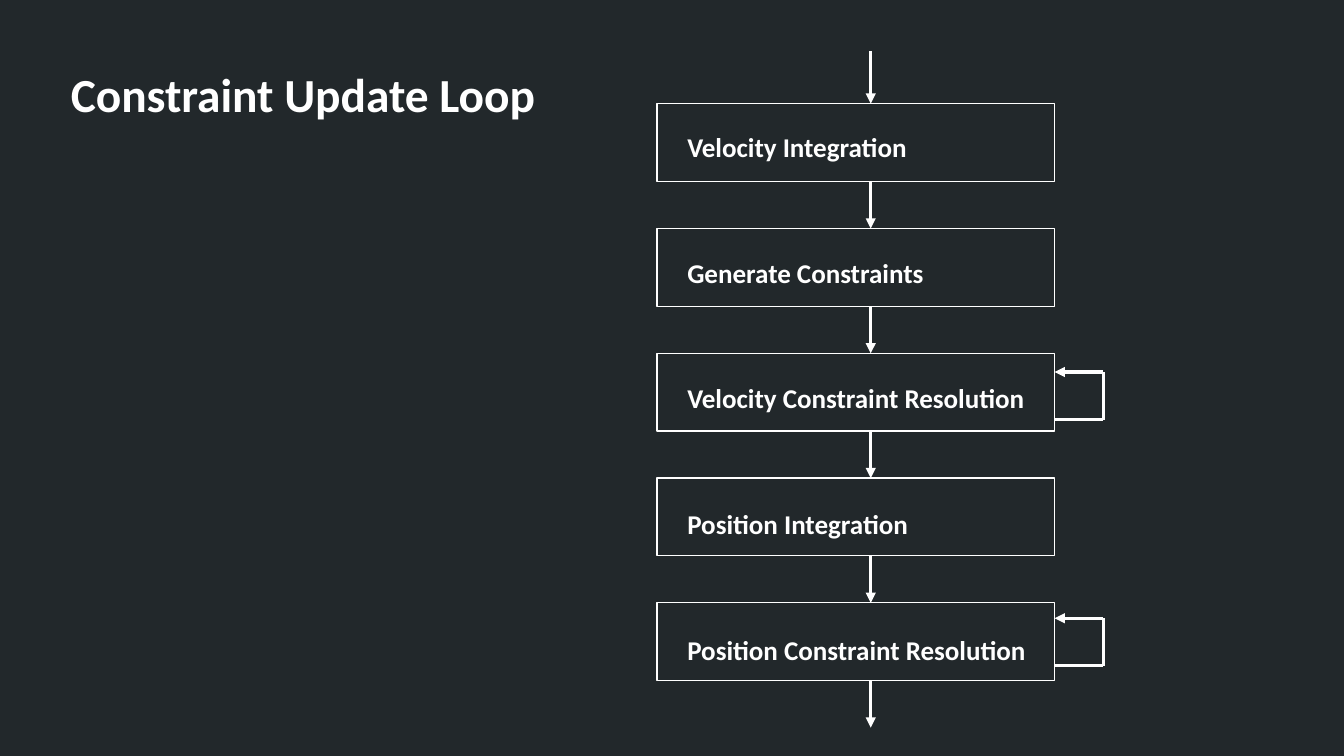
"""Build the Constraint Update Loop flow chart slide."""
from pptx import Presentation
from pptx.dml.color import RGBColor
from pptx.enum import shapes, text
from pptx.oxml.ns import qn
from pptx.util import Cm, Pt
from lxml import etree

WHITE = RGBColor(0xFF, 0xFF, 0xFF)
DARK = RGBColor(0x22, 0x28, 0x2B)
STEPS = ["Velocity Integration", "Generate Constraints", "Velocity Constraint Resolution",
         "Position Integration", "Position Constraint Resolution"]
BOX_X, BOX_Y, BOX_W, BOX_H = 13.69, 2.16, 8.28, 1.62
PITCH = 2.6
LABEL_PITCH = 2.62
ARROW_X = 18.14
BOX_RIGHT, LOOP_X, LOOP_H = BOX_X + BOX_W, 22.99, 0.99


def write(sp, words, size):
    tf = sp.text_frame
    tf.word_wrap = True
    tf.auto_size = text.MSO_AUTO_SIZE.NONE
    tf.vertical_anchor = text.MSO_ANCHOR.TOP
    p = tf.paragraphs[0]
    p.alignment = text.PP_ALIGN.LEFT
    p.line_spacing = 1.0
    r = p.add_run()
    r.text = words
    r.font.name = "Calibri"
    r.font.size = Pt(size)
    r.font.bold = True
    r.font.color.rgb = WHITE


def connect(x1, y1, x2, y2, arrow=False):
    cx = slide.shapes.add_connector(shapes.MSO_CONNECTOR.STRAIGHT, Cm(x1), Cm(y1), Cm(x2), Cm(y2))
    cx.line.color.rgb = WHITE
    cx.line.width = Pt(0)
    if arrow:
        etree.SubElement(cx.line._get_or_add_ln(), qn("a:tailEnd"), type="triangle")
    etree.SubElement(cx._element.spPr, qn("a:effectLst"))


prs = Presentation()
prs.slide_width, prs.slide_height = Cm(28), Cm(15.75)
slide = prs.slides.add_slide(prs.slide_layouts[5])
slide.background.fill.solid()
slide.background.fill.fore_color.rgb = DARK

title = slide.shapes.title
title.left, title.top, title.width, title.height = Cm(1.22), Cm(1.22), Cm(12.5), Cm(2.34)
write(title, "Constraint Update Loop", 28)

for i, step in enumerate(STEPS):
    top = BOX_Y + i * PITCH
    box = slide.shapes.add_shape(shapes.MSO_SHAPE.RECTANGLE, Cm(BOX_X), Cm(top), Cm(BOX_W), Cm(BOX_H))
    box.shadow.inherit = False
    box.fill.background()
    box.line.color.rgb = WHITE
    box.line.width = Pt(0)
    label = slide.shapes.add_textbox(Cm(14.07), Cm(2.59 + i * LABEL_PITCH), Cm(9.4), Cm(0.94))
    write(label, step, 16)
    connect(ARROW_X, top + BOX_H, ARROW_X, top + PITCH, arrow=True)

connect(ARROW_X, 1.07, ARROW_X, BOX_Y, arrow=True)

for top in (7.75, 12.88):
    connect(BOX_RIGHT, top + LOOP_H, LOOP_X, top + LOOP_H)
    connect(LOOP_X, top, LOOP_X, top + LOOP_H)
    connect(LOOP_X, top, BOX_RIGHT, top, arrow=True)

prs.save("out.pptx")
